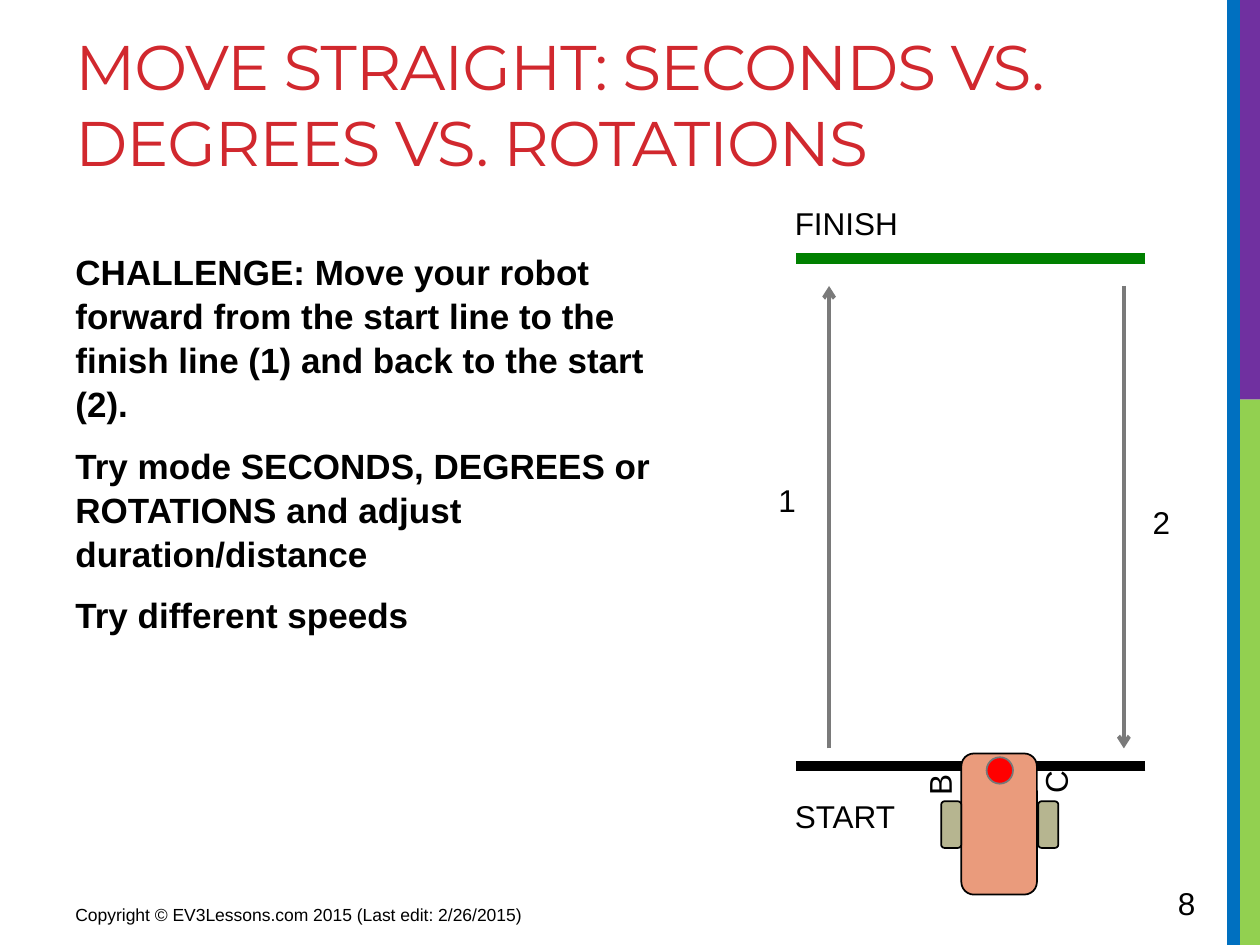
from dataclasses import dataclass

from lxml import etree
from pptx import Presentation
from pptx.dml.color import RGBColor
from pptx.enum.shapes import MSO_CONNECTOR, MSO_SHAPE
from pptx.enum.text import MSO_ANCHOR
from pptx.oxml.ns import qn
from pptx.util import Inches, Pt

RECT = MSO_SHAPE.RECTANGLE
ROUND = MSO_SHAPE.ROUNDED_RECTANGLE
OVAL = MSO_SHAPE.OVAL
STRAIGHT = MSO_CONNECTOR.STRAIGHT
TOP, MIDDLE = MSO_ANCHOR.TOP, MSO_ANCHOR.MIDDLE


@dataclass(frozen=True)
class Theme:
    """Colours, fonts and type sizes of the slide."""
    title: str = "D1282E"
    text: str = "000000"
    blue: str = "0070C0"
    purple: str = "7030A0"
    lime: str = "92D050"
    finish: str = "008000"
    arrow: str = "7A7A7A"
    robot: str = "EA9B7C"
    wheel: str = "B6B590"
    sensor: str = "FF0000"
    sensor_line: str = "777777"
    title_font: str = "Montserrat"
    body_font: str = "Arial"
    title_size: int = 36
    body_size: int = 20
    label_size: int = 18
    footer_size: int = 10


THEME = Theme()


def add_block(shapes, kind, box, fill, line=None):
    """Add a filled preset shape, outlined when a line colour is given."""
    sp = shapes.add_shape(kind, *map(Inches, box))
    sp.shadow.inherit = False
    sp.fill.solid()
    sp.fill.fore_color.rgb = RGBColor.from_string(fill)
    if line:
        sp.line.color.rgb = RGBColor.from_string(line)
        sp.line.width = Pt(1)
    else:
        sp.line.fill.background()
    return sp


def add_text(shapes, box, paragraphs, size=THEME.label_size, font=THEME.body_font,
             color=THEME.text, bold=False, anchor=TOP, wrap=True):
    """Add a text box with one uniformly styled run per paragraph."""
    sp = shapes.add_textbox(*map(Inches, box))
    tf = sp.text_frame
    tf.word_wrap = wrap
    tf.vertical_anchor = anchor
    tf.text = "\n".join(paragraphs)
    for p in tf.paragraphs:
        for r in p.runs:
            r.font.name = font
            r.font.size = Pt(size)
            r.font.bold = bold
            r.font.color.rgb = RGBColor.from_string(color)
    return sp


def add_line(shapes, start, end, color, width, arrow=False):
    """Add a straight connector, with an arrowhead at its end if asked."""
    cn = shapes.add_connector(STRAIGHT, *map(Inches, start + end))
    cn.line.color.rgb = RGBColor.from_string(color)
    cn.line.width = Pt(width)
    if arrow:
        etree.SubElement(cn.line._get_or_add_ln(), qn("a:tailEnd"), type="arrow")
    etree.SubElement(cn._element.spPr, qn("a:effectLst"))


def add_side_bars(shapes):
    """Add the coloured bars along the right edge."""
    add_block(shapes, RECT, (9.84, 3.17, 0.16, 4.33), THEME.lime)
    add_block(shapes, RECT, (9.8, 0, 0.2, 3.17), THEME.purple)
    add_block(shapes, RECT, (9.74, 0, 0.1, 7.5), THEME.blue)


def add_title(shapes):
    """Add the slide title with tightened letter spacing."""
    sp = add_text(shapes, (0.5, 0.17, 9.02, 1.5),
                  ["MOVE STRAIGHT: SECONDS VS. DEGREES VS. ROTATIONS"],
                  THEME.title_size, THEME.title_font, THEME.title)
    sp.text_frame.paragraphs[0].runs[0].font._element.set("spc", "-60")


def add_challenge(shapes):
    """Add the challenge instructions."""
    sp = add_text(shapes, (0.5, 1.92, 4.98, 4.78), [
        "CHALLENGE: Move your robot forward from the start line to the "
        "finish line (1) and back to the start (2).",
        "Try mode SECONDS, DEGREES or ROTATIONS and adjust duration/distance",
        "Try different speeds",
    ], THEME.body_size, bold=True)
    for i, p in enumerate(sp.text_frame.paragraphs):
        p.line_spacing = 1.05
        p.space_before = Pt(4 if i else 0)
        p.space_after = Pt(6)


def add_course(shapes):
    """Add the start and finish lines, the two runs and their labels."""
    left, right, near, far = 6.32, 9.09, 5.94, 2.27
    for y, color in ((2.05, THEME.finish), (6.08, THEME.text)):
        add_line(shapes, (right, y), (left, y), color, 6)
    for x, y1, y2 in ((6.58, near, far), (8.92, far, near)):
        add_line(shapes, (x, y1), (x, y2), THEME.arrow, 2.25, arrow=True)
    for x, y, label in ((6.08, 3.77, "1"), (9.05, 3.94, "2")):
        add_text(shapes, (x, y, 0.34, 0.4), [label])
    for y, label in ((1.57, "FINISH"), (6.28, "START")):
        add_text(shapes, (6.21, y, 1.03, 0.4), [label], wrap=False)


def add_robot(shapes):
    """Add the robot as a group of body, wheels, sensor and port letters."""
    parts = shapes.add_group_shape().shapes
    add_block(parts, ROUND, (7.63, 5.98, 0.6, 1.12), THEME.robot, THEME.text)
    for x in (8.24, 7.47):
        add_block(parts, ROUND, (x, 6.36, 0.16, 0.37), THEME.wheel, THEME.text)
    add_block(parts, OVAL, (7.83, 6.01, 0.21, 0.21), THEME.sensor, THEME.sensor_line)
    for x, y, port in ((7.18, 6.04, "B"), (8.1, 6.02, "C")):
        sp = add_text(parts, (x, y, 0.45, 0.3), [port])
        sp.rotation = 270


def add_footer(shapes):
    """Add the copyright line and the slide number."""
    add_text(shapes, (0.5, 7.1, 3.75, 0.31),
             ["Copyright © EV3Lessons.com 2015 (Last edit: 2/26/2015)"],
             THEME.footer_size, anchor=MIDDLE)
    add_text(shapes, (9.25, 6.97, 0.69, 0.4), ["8"], anchor=MIDDLE)


def main():
    """Build the slide and save it."""
    prs = Presentation()
    prs.slide_width, prs.slide_height = Inches(10), Inches(7.5)
    s = prs.slides.add_slide(prs.slide_layouts[6])
    for add_part in (add_side_bars, add_title, add_challenge, add_course,
                     add_robot, add_footer):
        add_part(s.shapes)
    prs.save("out.pptx")


if __name__ == "__main__":
    main()
